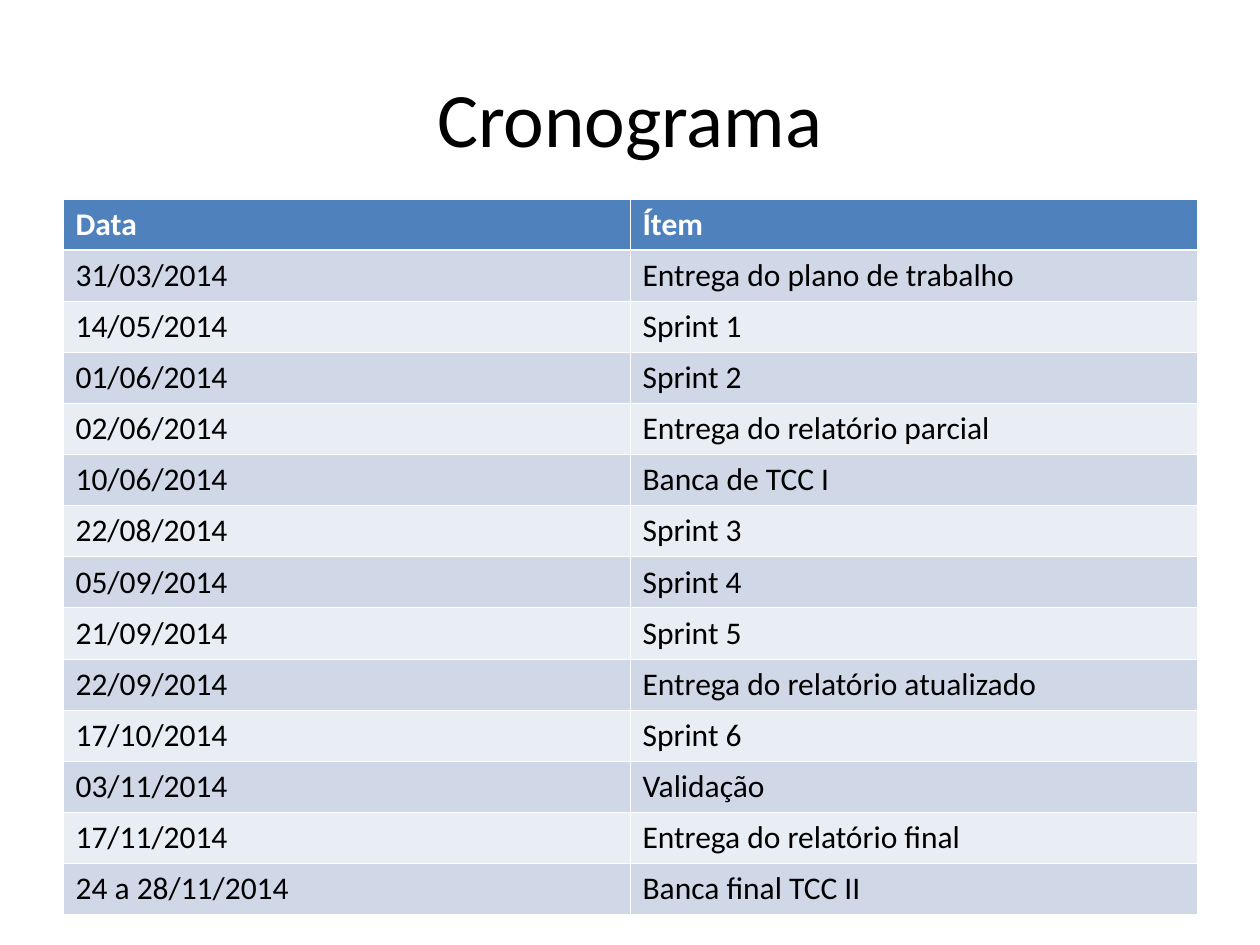
from lxml import etree
from pptx import Presentation
from pptx.dml.color import RGBColor
from pptx.enum.text import MSO_ANCHOR, PP_ALIGN
from pptx.oxml.ns import qn
from pptx.util import Inches, Pt

CENTER = PP_ALIGN.CENTER
LEFT = PP_ALIGN.LEFT
MIDDLE = MSO_ANCHOR.MIDDLE

FONT = "Calibri"
BLACK, WHITE = "000000", "FFFFFF"
HEADER_FILL = "4F81BD"
BAND_FILLS = ("E9EDF4", "D0D8E8")
THIN, THICK = 0.45, 1.47

SCHEDULE = [
    ("Data", "Ítem"),
    ("31/03/2014", "Entrega do plano de trabalho"),
    ("14/05/2014", "Sprint 1"),
    ("01/06/2014", "Sprint 2"),
    ("02/06/2014", "Entrega do relatório parcial"),
    ("10/06/2014", "Banca de TCC I"),
    ("22/08/2014", "Sprint 3"),
    ("05/09/2014", "Sprint 4"),
    ("21/09/2014", "Sprint 5"),
    ("22/09/2014", "Entrega do relatório atualizado"),
    ("17/10/2014", "Sprint 6"),
    ("03/11/2014", "Validação"),
    ("17/11/2014", "Entrega do relatório final"),
    ("24 a 28/11/2014", "Banca final TCC II"),
]


def color(hex_string):
    return RGBColor.from_string(hex_string)


def write_text(frame, text, size=18, hex_color=BLACK, bold=False, align=LEFT):
    para = frame.paragraphs[0]
    para.alignment = align
    span = para.add_run()
    span.text = text
    span.font.name = FONT
    span.font.size = Pt(size)
    span.font.bold = bold
    span.font.color.rgb = color(hex_color)


def set_borders(cell, top=THIN, bottom=THIN):
    properties = cell._tc.get_or_add_tcPr()
    sides = (("a:lnL", THIN), ("a:lnR", THIN), ("a:lnT", top), ("a:lnB", bottom))
    # Border lines come before the fill in the cell properties
    for position, (tag, width) in enumerate(sides):
        line = etree.Element(qn(tag), w=str(int(Pt(width))))
        fill = etree.SubElement(line, qn("a:solidFill"))
        etree.SubElement(fill, qn("a:srgbClr"), val=WHITE)
        properties.insert(position, line)


def add_title(page, text):
    box = page.shapes.add_textbox(Inches(0.5), Inches(0.3), Inches(9), Inches(1.25))
    box.text_frame.word_wrap = True
    box.text_frame.vertical_anchor = MIDDLE
    write_text(box.text_frame, text, size=44, align=CENTER)


def add_schedule(page, rows):
    height = Inches(5.68)
    table = page.shapes.add_table(
        len(rows), len(rows[0]), Inches(0.5), Inches(1.58), Inches(9), height
    ).table
    for row_index, values in enumerate(rows):
        table.rows[row_index].height = height // len(rows)
        header = row_index == 0
        for column_index, value in enumerate(values):
            cell = table.cell(row_index, column_index)
            cell.fill.solid()
            cell.fill.fore_color.rgb = color(
                HEADER_FILL if header else BAND_FILLS[row_index % 2]
            )
            set_borders(
                cell,
                top=THICK if row_index == 1 else THIN,
                bottom=THICK if header else THIN,
            )
            write_text(
                cell.text_frame, value,
                hex_color=WHITE if header else BLACK, bold=header,
            )


def main():
    deck = Presentation()
    deck.slide_width, deck.slide_height = Inches(10), Inches(7.5)
    page = deck.slides.add_slide(deck.slide_layouts[6])
    add_title(page, "Cronograma")
    add_schedule(page, SCHEDULE)
    deck.save("out.pptx")


if __name__ == "__main__":
    main()
